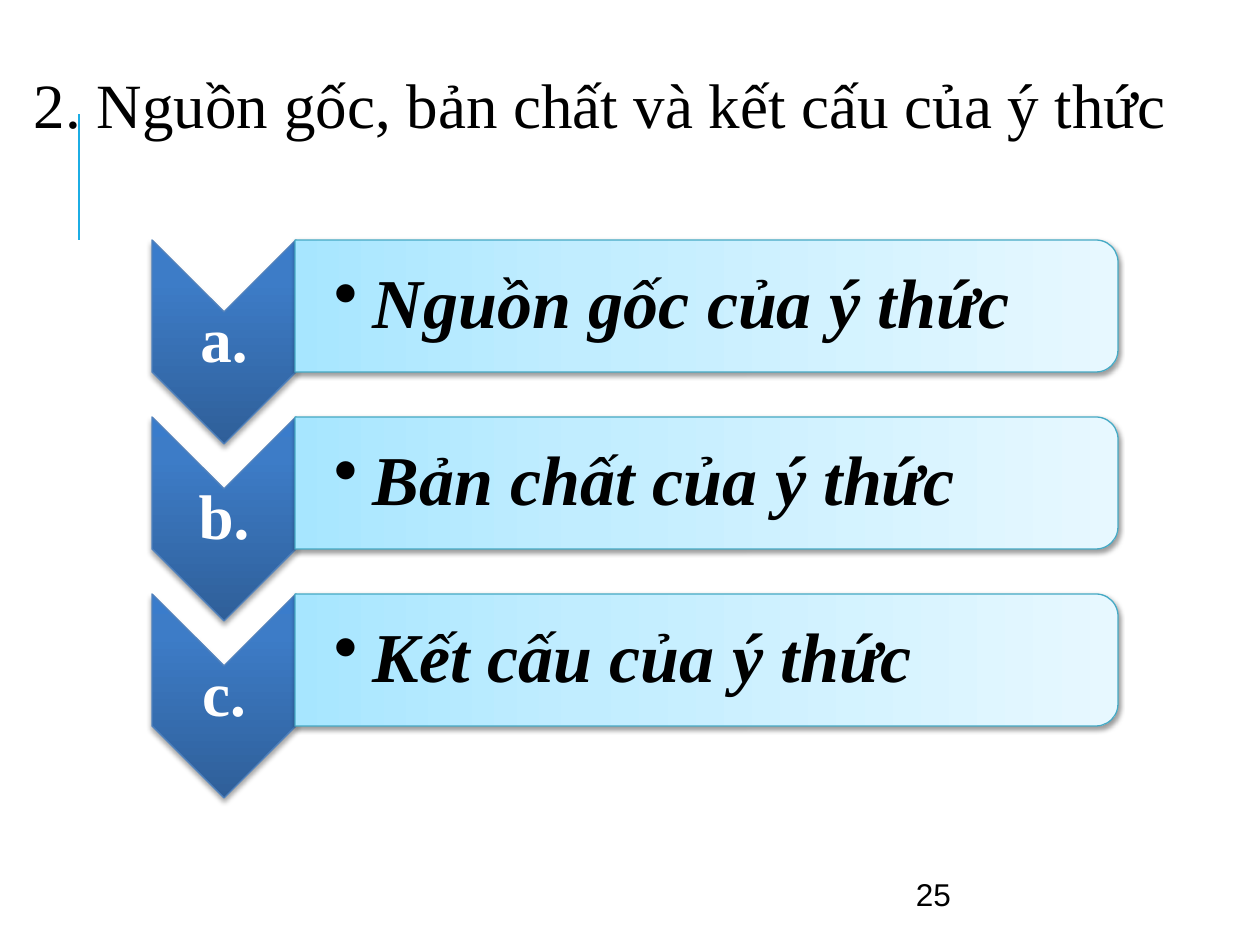
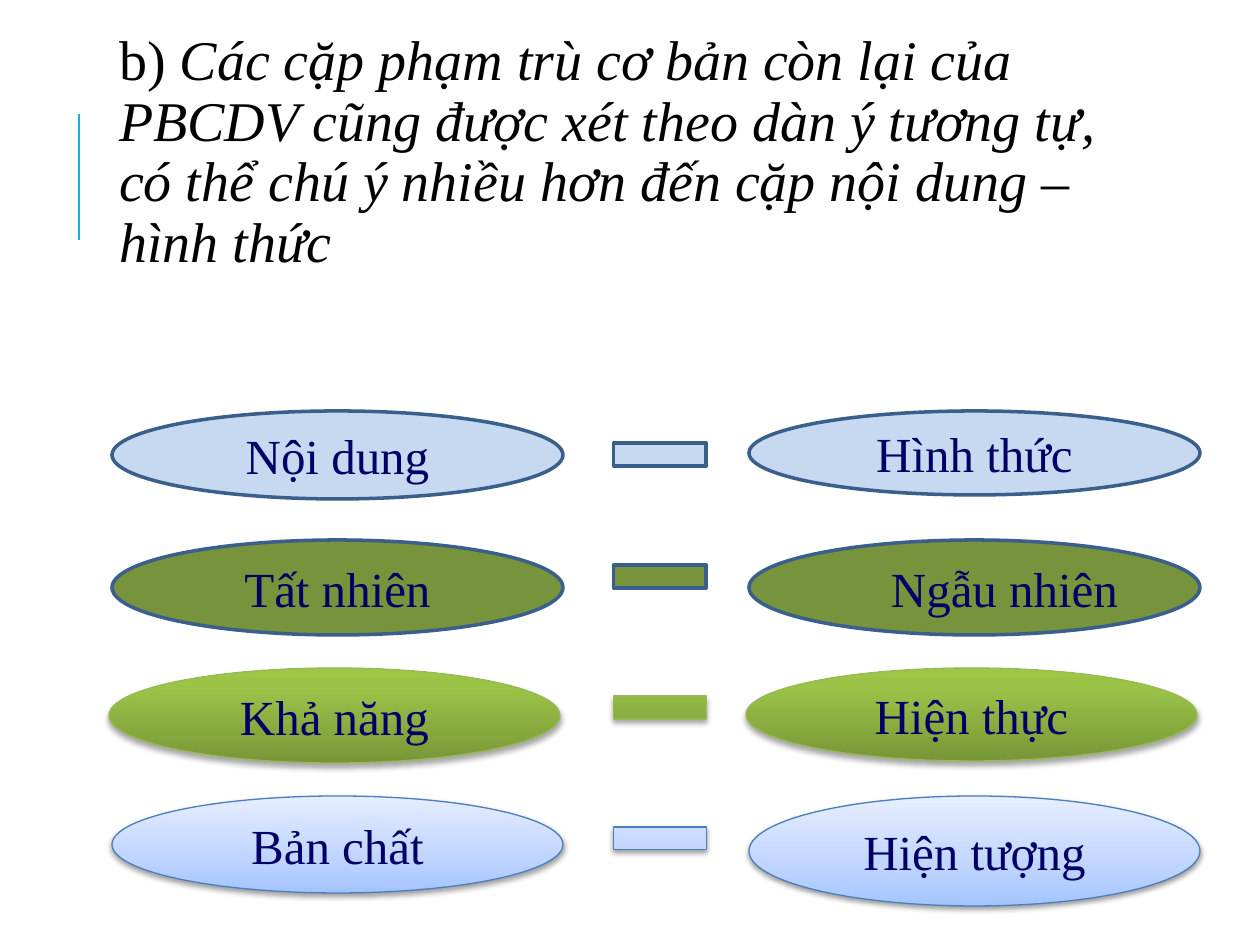
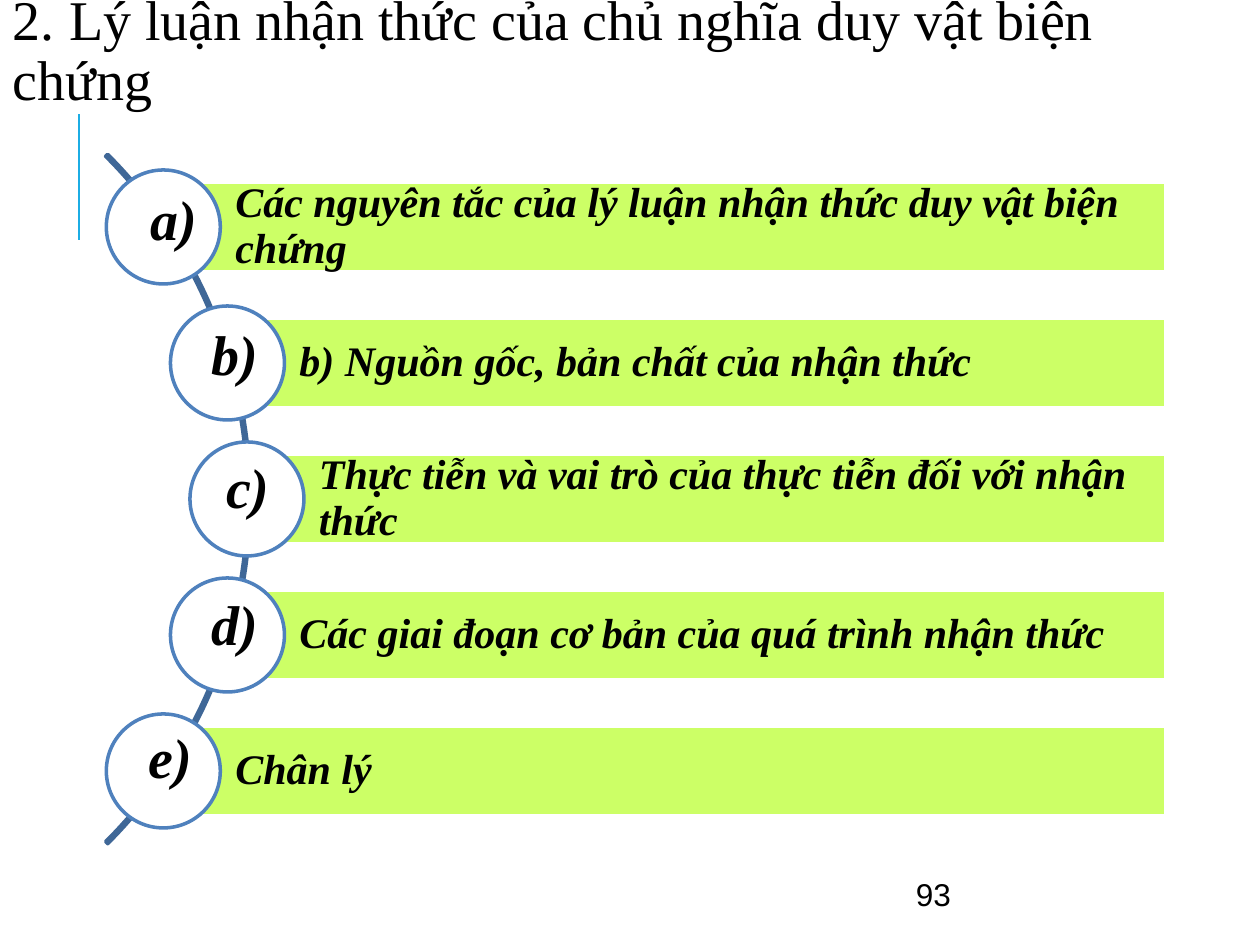
from math import sqrt

from lxml import etree
from pptx import Presentation
from pptx.dml.color import RGBColor
from pptx.enum.shapes import MSO_CONNECTOR, MSO_SHAPE
from pptx.enum.text import MSO_ANCHOR, MSO_AUTO_SIZE, PP_ALIGN
from pptx.oxml import parse_xml
from pptx.oxml.ns import nsdecls, qn
from pptx.util import Emu, Pt

SCALE = 914400 / 126
SERIF, SANS = "Times New Roman", "Arial"
BLACK, WHITE, NAVY = "000000", "FFFFFF", "000066"
LEFT, CENTER = PP_ALIGN.LEFT, PP_ALIGN.CENTER
TOP, MIDDLE = MSO_ANCHOR.TOP, MSO_ANCHOR.MIDDLE
NO_FIT = MSO_AUTO_SIZE.NONE
STRAIGHT = MSO_CONNECTOR.STRAIGHT
RECT, OVAL, ARC = MSO_SHAPE.RECTANGLE, MSO_SHAPE.OVAL, MSO_SHAPE.BLOCK_ARC
CHEVRON, MINUS = MSO_SHAPE.CHEVRON, MSO_SHAPE.MATH_MINUS
ROUND = MSO_SHAPE.ROUND_2_SAME_RECTANGLE
PAD = (13, 6, 13, 6)

# A look is fill, line colour, line width and shadow (opacity %, distance pt).
# A fill is one colour, or gradient stops that run from bottom to top.
DEEP, SOFT = (35, 1.8), (38, 1.6)
BLUE = ([(0, "2F5F99"), (80, "3D7CC7"), (100, "3A7CCB")], "4F81BD", 0.75, DEEP)
CYAN = ([(0, "A7E6FF"), (35, "C1EDFF"), (100, "E7F8FF")], "46AAC5", 0.75, SOFT)
PALE = ("C6D9F1", "3A5F8C", 2, None)
OLIVE = ("77933C", "3A5F8C", 2, None)
GREEN = ([(0, "779737"), (80, "9BC348"), (100, "9DC746")], "98B955", 0.75, DEEP)
SKY = ([(0, "A4C4FF"), (35, "BFD4FF"), (100, "E6EEFF")], "4B7EBC", 0.75, SOFT)
LIME = ("CCFF66", WHITE, 2, None)
RING = (WHITE, "4F81BD", 2, None)
CURVE = (None, "3F6797", 2, None)


def px(n):
    return Emu(round(n * SCALE))


def rgb(color):
    return RGBColor.from_string(color)


def shade(shape, stops, turns):
    """Fill with an upward gradient, which turns with the shape or not."""
    marks = "".join(
        f'<a:gs pos="{at * 1000}"><a:srgbClr val="{color}"/></a:gs>'
        for at, color in stops)
    grad = parse_xml(
        f'<a:gradFill {nsdecls("a")} rotWithShape="{int(turns)}">'
        f'<a:gsLst>{marks}</a:gsLst><a:lin ang="16200000" scaled="0"/></a:gradFill>')
    shape.fill.background()
    props = shape.element.spPr
    props.replace(props.find(qn("a:noFill")), grad)


def drop(shape, alpha, dist):
    """Cast a soft shadow straight down."""
    effects = shape.element.spPr.find(qn("a:effectLst"))
    effects.append(parse_xml(
        f'<a:outerShdw {nsdecls("a")} blurRad="{Pt(3.1)}" dist="{Pt(dist)}" '
        f'dir="5400000" rotWithShape="0"><a:srgbClr val="{BLACK}">'
        f'<a:alpha val="{alpha * 1000}"/></a:srgbClr></a:outerShdw>'))


def draw(slide, kind, x, y, w, h, look, turn=False, turns=True):
    """Add a shape whose visible box is x, y, w, h, even when turned by 90°."""
    fill, edge, width, shadow = look
    if turn:
        x, y, w, h = x + (w - h) / 2, y + (h - w) / 2, h, w
    shape = slide.shapes.add_shape(kind, px(x), px(y), px(w), px(h))
    shape.rotation = 90 if turn else 0
    shape.shadow.inherit = False
    if fill is None:
        shape.fill.background()
    elif isinstance(fill, str):
        shape.fill.solid()
        shape.fill.fore_color.rgb = rgb(fill)
    else:
        shade(shape, fill, turns)
    shape.line.color.rgb = rgb(edge)
    shape.line.width = Pt(width)
    if shadow:
        drop(shape, *shadow)
    return shape


def frame(shape, pad=PAD, anchor=MIDDLE, wrap=True):
    """Set up the text frame and return it with its first paragraph."""
    text = shape.text_frame
    text.auto_size = NO_FIT
    text.word_wrap = wrap
    text.vertical_anchor = anchor
    (text.margin_left, text.margin_top,
     text.margin_right, text.margin_bottom) = map(px, pad)
    return text.paragraphs[0]


def style(para, size, color=BLACK, face=SERIF, bold=None, italic=None,
          align=LEFT, lead=0.9):
    para.alignment = align
    para.line_spacing = lead
    font = para.font
    font.name, font.size, font.bold, font.italic = face, Pt(size), bold, italic
    font.color.rgb = rgb(color)


def label(slide, x, y, w, h, words, size, pad=PAD, anchor=MIDDLE, wrap=True, **look):
    box = slide.shapes.add_textbox(px(x), px(y), px(w), px(h))
    para = frame(box, pad, anchor, wrap)
    para.text = words
    style(para, size, **look)
    return para


def head(slide, x, y, w, h, runs, size, pad=PAD):
    """Place the title; runs pair words with an italic flag."""
    title = slide.shapes.title
    title.left, title.top, title.width, title.height = map(px, (x, y, w, h))
    para = frame(title, pad)
    for words, italic in runs:
        run = para.add_run()
        run.text = words
        if italic:
            run.font.italic = True
    style(para, size)


def number(slide, words):
    label(slide, 903, 861, 294, 66, words, 18, face=SANS, lead=1)


def accent(layout, slide):
    """Draw the accent line and hand it over to the layout."""
    line = slide.shapes.add_connector(STRAIGHT, px(79), px(240), px(79), px(114))
    line.line.color.rgb = rgb("1CADE4")
    line.line.width = Pt(1.5)
    etree.SubElement(line.element.spPr, qn("a:effectLst"))
    layout.shapes.element.append(line.element)


def step(slide, x, y, mark, words):
    """One chevron with its letter and the bar beside it."""
    thin = (4, 4, 4, 4)
    draw(slide, CHEVRON, x, y, 144, 204, BLUE, turn=True, turns=False)
    label(slide, x, y + 71, 144, 62, mark, 36, thin,
          color=WHITE, bold=True, align=CENTER)
    draw(slide, ROUND, x + 143, y, 823, 132, CYAN, turn=True)
    para = label(slide, x + 143, y + 6, 816, 120, "", 40, (39, 4, 4, 4))
    props = para._p.get_or_add_pPr()
    props.set("marL", str(px(39)))
    props.set("indent", str(px(-39)))
    etree.SubElement(props, qn("a:buChar")).set("char", "•")
    para.text = words
    style(para, 40, bold=True, italic=True)


def origin(slide):
    head(slide, 21, 45, 1229, 127,
         [("2. Nguồn gốc, bản chất và kết cấu của ý thức", False)], 36)
    number(slide, "25")
    rows = [("a.", "Nguồn gốc của ý thức"),
            ("b.", "Bản chất của ý thức"),
            ("c.", "Kết cấu của ý thức")]
    for i, (mark, words) in enumerate(rows):
        step(slide, 152, 240 + 177 * i, mark, words)


def oval(slide, x, y, h, words, look, indent=0):
    shape = draw(slide, OVAL, x, y, 451, h, look)
    para = frame(shape, (13 + indent, 6, 13, 6))
    para.text = words
    style(para, 28, NAVY, align=LEFT if indent else CENTER, lead=1)


def pairs(slide):
    head(slide, 106, 74, 1004, 219,
         [("b) ", False),
          ("Các cặp phạm trù cơ bản còn lại của PBCDV cũng được xét theo dàn ý "
           "tương tự, có thể chú ý nhiều hơn đến cặp nội dung – hình thức", True)],
         32, (13, 6, 13, 66))
    # look, left x, top, dash top, left words and height, right words, height, indent
    rows = [(PALE, 112, 411, 406, "Nội dung", 88, "Hình thức", 84, 0),
            (OLIVE, 112, 540, 528, "Tất nhiên", 95, "Ngẫu nhiên", 95, 63),
            (GREEN, 109, 668, 659, "Khả năng", 95, "Hiện thực", 93, 0),
            (SKY, 112, 796, 790, "Bản chất", 97, "Hiện tượng", 110, 0)]
    for look, x, y, dash, one, tall, two, high, indent in rows:
        oval(slide, x, y, tall, one, look)
        oval(slide, x + 637, y, high, two, look, indent)
        draw(slide, MINUS, 597, dash, 126, 97, look)


def theory(slide):
    head(slide, 0, 0, 1260, 105,
         [("2. Lý luận nhận thức của chủ nghĩa duy vật biện chứng", False)], 32)
    number(slide, "93")
    mid_x, mid_y, size = -237, 499, 975
    arc = draw(slide, ARC, mid_x - size / 2, mid_y - size / 2, size, size, CURVE)
    for i, value in enumerate((189, 27, 0.003)):
        arc.adjustments[i] = value
    # letter, its shift from the ring's centre, words
    rows = [("a)", -26, -48, "Các nguyên tắc của lý luận nhận thức duy vật biện chứng"),
            ("b)", -29, -50, "b) Nguồn gốc, bản chất của nhận thức"),
            ("c)", -34, -53, "Thực tiễn và vai trò của thực tiễn đối với nhận thức"),
            ("d)", -29, -52, "Các giai đoạn cơ bản của quá trình nhận thức"),
            ("e)", -28, -55, "Chân lý")]
    for i, (mark, dx, dy, words) in enumerate(rows):
        rise = 136 * (i - 2)
        x, y = mid_x + sqrt(484 ** 2 - rise ** 2), mid_y + rise
        bar = (x, y - 45, 1166 - x, 90)
        draw(slide, RECT, *bar, LIME)
        label(slide, *bar, words, 24, (72, 9, 9, 9), bold=True, italic=True)
        draw(slide, OVAL, x - 57, y - 57, 114, 114, RING)
        label(slide, x + dx, y + dy, 72, 81, mark, 32, anchor=TOP, wrap=False,
              bold=True, italic=True, lead=1)


def main():
    deck = Presentation()
    deck.slide_width, deck.slide_height = px(1260), px(945)
    layout = deck.slide_layouts[5]
    for build in (origin, pairs, theory):
        build(deck.slides.add_slide(layout))
    accent(layout, deck.slides[0])
    deck.save("out.pptx")


if __name__ == "__main__":
    main()
